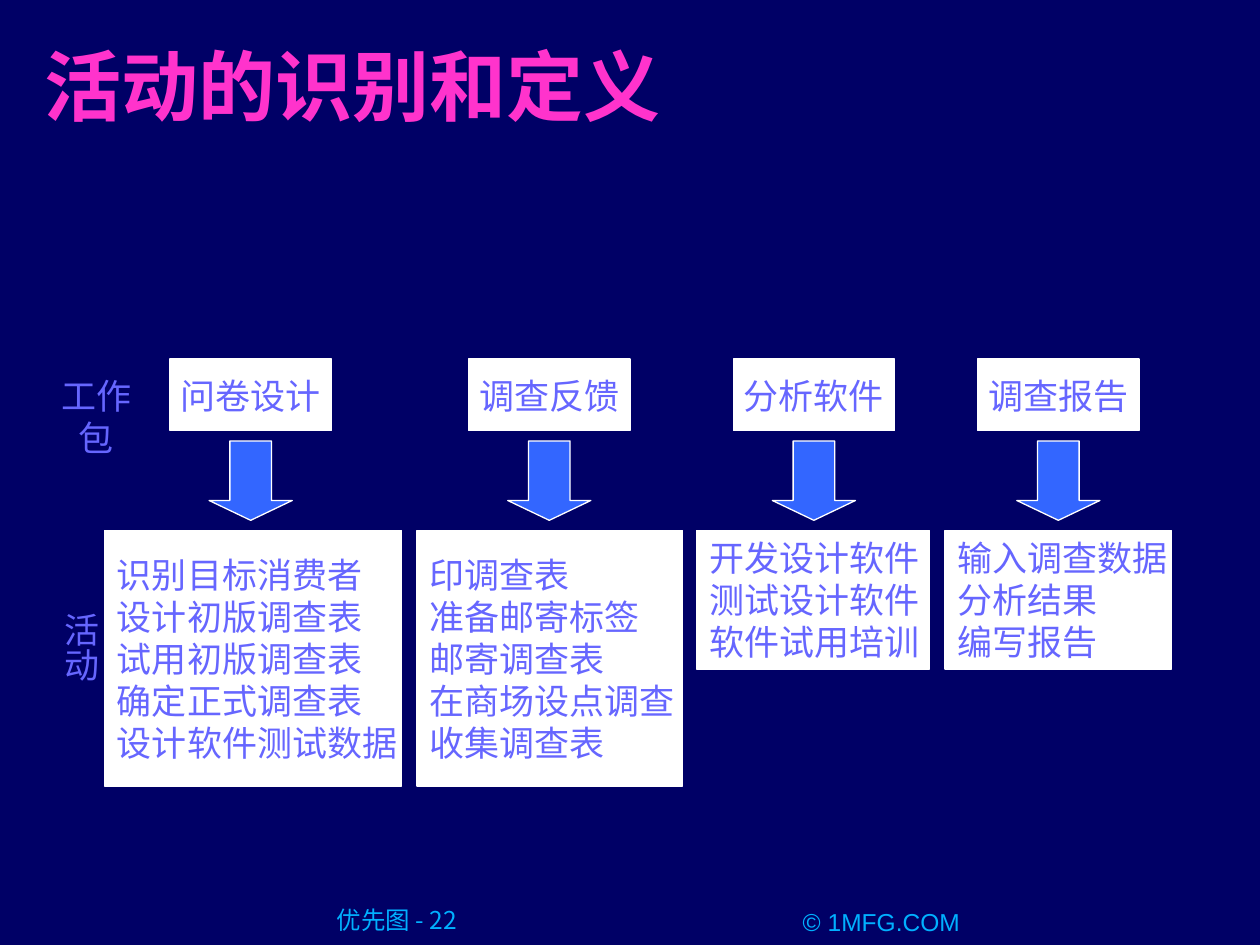
import pptx
import pptx.util
import pptx.dml.color
import pptx.enum.shapes
import pptx.enum.text

Inches = pptx.util.Inches
SHAPE = pptx.enum.shapes.MSO_SHAPE
ALIGN = pptx.enum.text.PP_ALIGN
ANCHOR = pptx.enum.text.MSO_ANCHOR

COLORS = {
    "background": "000066",
    "title": "FF33CC",
    "text": "6666FF",
    "box": "FFFFFF",
    "arrow": "3366FF",
    "footer": "01B0FF",
}
BODY = {"size": 20, "name": "Times New Roman", "color": "text"}
TITLE = {"size": 44, "name": "Arial", "color": "title", "bold": True}
MARGINS = (0.1, 0.05, 0.1, 0.05)

# package, package left, activities left, width and height, activities
COLUMNS = [
    ("问卷设计", 1.35, 0.83, 2.36, 2.03,
     ["识别目标消费者", "设计初版调查表", "试用初版调查表", "确定正式调查表", "设计软件测试数据"]),
    ("调查反馈", 3.72, 3.31, 2.11, 2.03,
     ["印调查表", "准备邮寄标签", "邮寄调查表", "在商场设点调查", "收集调查表"]),
    ("分析软件", 5.82, 5.53, 1.85, 1.1,
     ["开发设计软件", "测试设计软件", "软件试用培训"]),
    ("调查报告", 7.76, 7.5, 1.8, 1.1,
     ["输入调查数据", "分析结果", "编写报告"]),
]
PACKAGE_W, ARROW_W = 1.28, 0.66


def rgb(name):
    return pptx.dml.color.RGBColor.from_string(COLORS[name])


class Deck:
    def __init__(self):
        self.prs = pptx.Presentation()
        self.prs.slide_width, self.prs.slide_height = Inches(10), Inches(7.5)
        self.s = None

    def add_slide(self):
        self.s = self.prs.slides.add_slide(self.prs.slide_layouts[5])
        self.s.background.fill.solid()
        self.s.background.fill.fore_color.rgb = rgb("background")

    def set_text(self, sp, lines, style, align, anchor, margins=MARGINS, wrap=False):
        tf = sp.text_frame
        sides = ("margin_left", "margin_top", "margin_right", "margin_bottom")
        values = dict(zip(sides, map(Inches, margins)))
        values.update(word_wrap=wrap, vertical_anchor=anchor)
        for key, value in values.items():
            setattr(tf, key, value)
        for i, line in enumerate(lines):
            p = tf.paragraphs[0] if i == 0 else tf.add_paragraph()
            p.alignment = align
            r = p.add_run()
            r.text = line
            font = {"name": style["name"], "bold": style.get("bold", False),
                    "size": pptx.util.Pt(style["size"])}
            for key, value in font.items():
                setattr(r.font, key, value)
            r.font.color.rgb = rgb(style["color"])

    def title(self, text, *at):
        sp = self.s.shapes.title
        sp.left, sp.top, sp.width, sp.height = map(Inches, at)
        self.set_text(sp, [text], TITLE, ALIGN.LEFT, ANCHOR.BOTTOM, wrap=True)

    def shape(self, kind, fill, *at):
        sp = self.s.shapes.add_shape(kind, *map(Inches, at))
        sp.shadow.inherit = False
        sp.fill.solid()
        sp.fill.fore_color.rgb = rgb(fill)
        sp.line.color.rgb = rgb("box")
        sp.line.width = pptx.util.Pt(0.75)
        return sp

    def box(self, lines, align, *at):
        sp = self.shape(SHAPE.RECTANGLE, "box", *at)
        self.set_text(sp, lines, BODY, align, ANCHOR.MIDDLE)

    def arrow(self, *at):
        sp = self.shape(SHAPE.DOWN_ARROW, "arrow", *at)
        sp.adjustments[0], sp.adjustments[1] = 0.5, 0.25

    def label(self, text, at, style=BODY, margins=MARGINS, wrap=False, vertical=False):
        sp = self.s.shapes.add_textbox(*map(Inches, at))
        self.set_text(sp, [text], style, ALIGN.CENTER, ANCHOR.TOP, margins, wrap)
        if vertical:
            sp.text_frame._txBody.bodyPr.set("vert", "eaVert")


def main():
    deck = Deck()
    deck.add_slide()
    deck.title("活动的识别和定义", 0.25, 0.25, 9.5, 0.84)
    for package, left, list_left, width, height, activities in COLUMNS:
        deck.box([package], ALIGN.CENTER, left, 2.85, PACKAGE_W, 0.57)
        deck.box(activities, ALIGN.LEFT, list_left, 4.21, width, height)
        deck.arrow(left + (PACKAGE_W - ARROW_W) / 2, 3.5, ARROW_W, 0.63)
    deck.label("工作包", (0.25, 2.92, 1.03, 0.44))
    deck.label("活动", (0.33, 4.76, 0.53, 0.66), margins=(0.05, 0.1, 0.05, 0.1), vertical=True)

    footer = {"size": 14, "color": "footer"}
    deck.label("优先图 - 22", (2.01, 7.18, 2.08, 0.27), {**footer, "name": "Noto Sans CJK JP"},
               (0.2, 0, 0, 0), wrap=True)
    deck.label("© 1MFG.COM", (5.87, 7.2, 2.25, 0.23), {**footer, "name": "Arial"},
               (0, 0, 0, 0), wrap=True)
    deck.prs.save("out.pptx")


if __name__ == "__main__":
    main()
